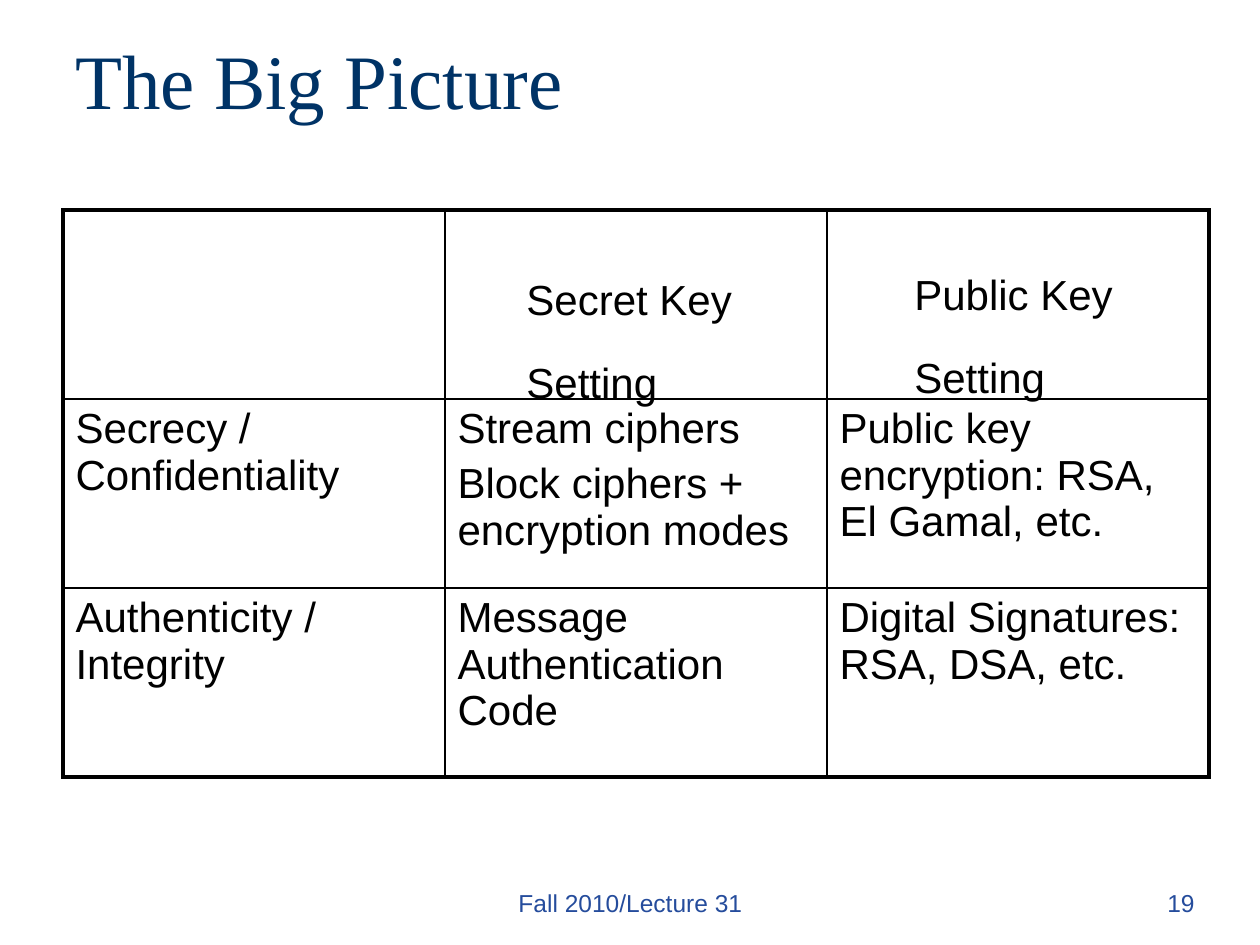
"""Build the slide comparing secret key and public key settings."""
from lxml.etree import SubElement
from pptx import Presentation
from pptx.dml.color import RGBColor
from pptx.enum.text import MSO_ANCHOR, MSO_AUTO_SIZE, PP_ALIGN
from pptx.oxml.ns import qn
from pptx.util import Emu, Pt

COLORS = {"title": "003366", "footer": "254C9C", "text": "000000", "border": "000000"}
TABLE_LEFT, TABLE_TOP, COLUMN_WIDTH, ROW_HEIGHT = 63, 210, 382, 189
ROWS = [
    [[], [], []],
    [["Secrecy / Confidentiality"],
     ["Stream ciphers", "Block ciphers + encryption modes"],
     ["Public key encryption: RSA, El Gamal, etc."]],
    [["Authenticity / Integrity"],
     ["Message Authentication Code"],
     ["Digital Signatures: RSA, DSA, etc."]],
]


def px(length):
    return Emu(round(length * 914400 / 126))


def write_text(frame, lines, size=24, font="Arial", color="text",
               align=PP_ALIGN.LEFT, spacing=None, gap=0):
    for index, line in enumerate(lines):
        paragraph = frame.paragraphs[0] if index == 0 else frame.add_paragraph()
        paragraph.alignment = align
        if spacing:
            paragraph.line_spacing = spacing
        if index:
            paragraph.space_before = Pt(gap)
        run = paragraph.add_run()
        run.text = line
        run.font.size = Pt(size)
        run.font.name = font
        run.font.color.rgb = RGBColor.from_string(COLORS[color])


presentation = Presentation()
presentation.slide_width = px(1260)
presentation.slide_height = px(945)
slide = presentation.slides.add_slide(presentation.slide_layouts[6])

footers = [
    ("Fall 2010/Lecture 31", 431, 399, PP_ALIGN.CENTER),
    ("19", 945, 262, PP_ALIGN.RIGHT),
]
for text, left, width, align in footers:
    footer = slide.shapes.add_textbox(px(left), px(882), px(width), px(63))
    footer.text_frame.word_wrap = True
    write_text(footer.text_frame, [text], size=14, color="footer", align=align)

title = slide.shapes.add_textbox(px(63), px(0), px(1134), px(158))
title.text_frame.word_wrap = True
title.text_frame.vertical_anchor = MSO_ANCHOR.MIDDLE
write_text(title.text_frame, ["The Big Picture"], size=44,
           font="Times New Roman", color="title")

table_frame = slide.shapes.add_table(
    3, 3, px(TABLE_LEFT), px(TABLE_TOP), px(3 * COLUMN_WIDTH), px(3 * ROW_HEIGHT))
table = table_frame.table
table.first_row = False
table.horz_banding = False
for column in table.columns:
    column.width = px(COLUMN_WIDTH)
for row in table.rows:
    row.height = px(ROW_HEIGHT)

for row_index, row in enumerate(ROWS):
    for column_index, lines in enumerate(row):
        cell = table.cell(row_index, column_index)
        write_text(cell.text_frame, lines, gap=5)
        outer_edges = {"a:lnL": column_index == 0, "a:lnR": column_index == 2,
                       "a:lnT": row_index == 0, "a:lnB": row_index == 2}
        properties = cell._tc.get_or_add_tcPr()
        for tag, is_outer in outer_edges.items():
            border = SubElement(properties, qn(tag), w=str(Pt(2.25 if is_outer else 1)))
            fill = SubElement(border, qn("a:solidFill"))
            SubElement(fill, qn("a:srgbClr"), val=COLORS["border"])
        cell.fill.background()

for heading, left, top, width in [("Secret Key", 514, 247, 244), ("Public Key", 902, 242, 238)]:
    label = slide.shapes.add_textbox(px(left), px(top), px(width), px(165))
    label.text_frame.word_wrap = False
    label.text_frame.auto_size = MSO_AUTO_SIZE.SHAPE_TO_FIT_TEXT
    write_text(label.text_frame, [heading, "Setting"], spacing=1.4, gap=7)

presentation.save("out.pptx")
